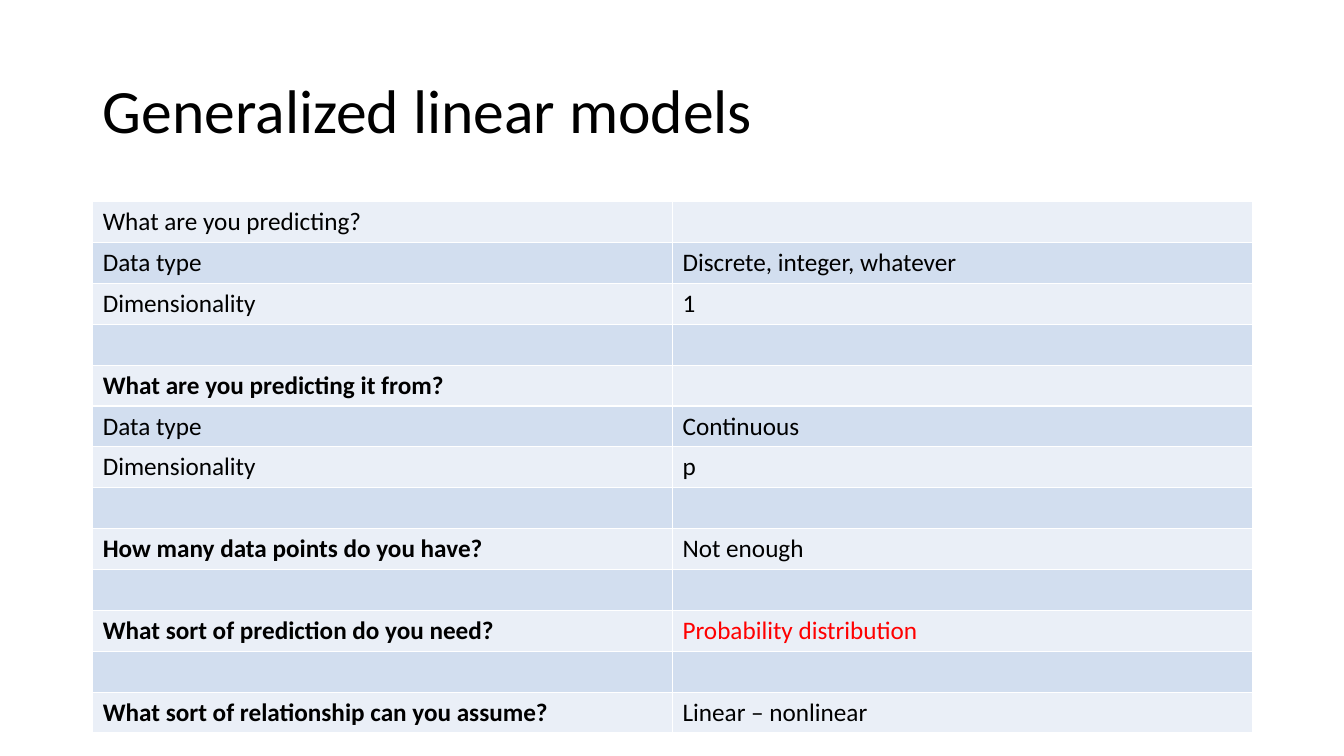
import pptx
import pptx.util
import pptx.dml.color
import pptx.enum.text
import lxml.etree
from pptx.oxml.ns import qn

Inches, Pt = pptx.util.Inches, pptx.util.Pt

# Content
TITLE = "Generalized linear models"
ROWS = [
    ("What are you predicting?", ""),
    ("Data type", "Discrete, integer, whatever"),
    ("Dimensionality", "1"),
    ("", ""),
    ("What are you predicting it from?", ""),
    ("Data type", "Continuous"),
    ("Dimensionality", "p"),
    ("", ""),
    ("How many data points do you have?", "Not enough"),
    ("", ""),
    ("What sort of prediction do you need?", "Probability distribution"),
    ("", ""),
    ("What sort of relationship can you assume?", "Linear – nonlinear"),
]
BOLD_ROWS = {4, 8, 10, 12}
HIGHLIGHT = "Probability distribution"
COLOURS = {
    "text": "000000",
    "highlight": "FF0000",
    "light band": "EAEFF7",
    "dark band": "D2DEEF",
    "border": "FFFFFF",
}
FONT = "Calibri"
LEFT, WIDTH = Inches(0.92), Inches(11.5)


def colour(name):
    return pptx.dml.color.RGBColor.from_string(COLOURS[name])


def add_span(para, text, size, colour_name, bold=False):
    span = para.add_run()
    span.text = text
    span.font.name = FONT
    span.font.size = Pt(size)
    span.font.bold = bold
    span.font.color.rgb = colour(colour_name)


def add_borders(cell):
    properties = cell._tc.get_or_add_tcPr()
    for side in ("lnL", "lnR", "lnT", "lnB"):
        line = lxml.etree.SubElement(properties, qn("a:" + side), w=str(Pt(1)))
        fill = lxml.etree.SubElement(line, qn("a:solidFill"))
        lxml.etree.SubElement(fill, qn("a:srgbClr"), val=COLOURS["border"])


deck = pptx.Presentation()
deck.slide_width, deck.slide_height = Inches(13.33), Inches(7.5)
page = deck.slides.add_slide(deck.slide_layouts[5])

# Title
title = page.shapes.title
title.left, title.top, title.width, title.height = LEFT, Inches(0.4), WIDTH, Inches(1.45)
title.text_frame.vertical_anchor = pptx.enum.text.MSO_ANCHOR.MIDDLE
title_para = title.text_frame.paragraphs[0]
title_para.alignment = pptx.enum.text.PP_ALIGN.LEFT
title_para.line_spacing = 0.9
add_span(title_para, TITLE, 44, "text")

# Question table
frame = page.shapes.add_table(len(ROWS), 2, LEFT, Inches(2), WIDTH, Inches(5.27))
table = frame.table
table.first_row = False
for row_index, row in enumerate(ROWS):
    band = "dark band" if row_index % 2 else "light band"
    for column_index, text in enumerate(row):
        cell = table.cell(row_index, column_index)
        add_borders(cell)
        cell.fill.solid()
        cell.fill.fore_color.rgb = colour(band)
        if text:
            bold = column_index == 0 and row_index in BOLD_ROWS
            shade = "highlight" if text == HIGHLIGHT else "text"
            add_span(cell.text_frame.paragraphs[0], text, 18, shade, bold)

deck.save("out.pptx")
